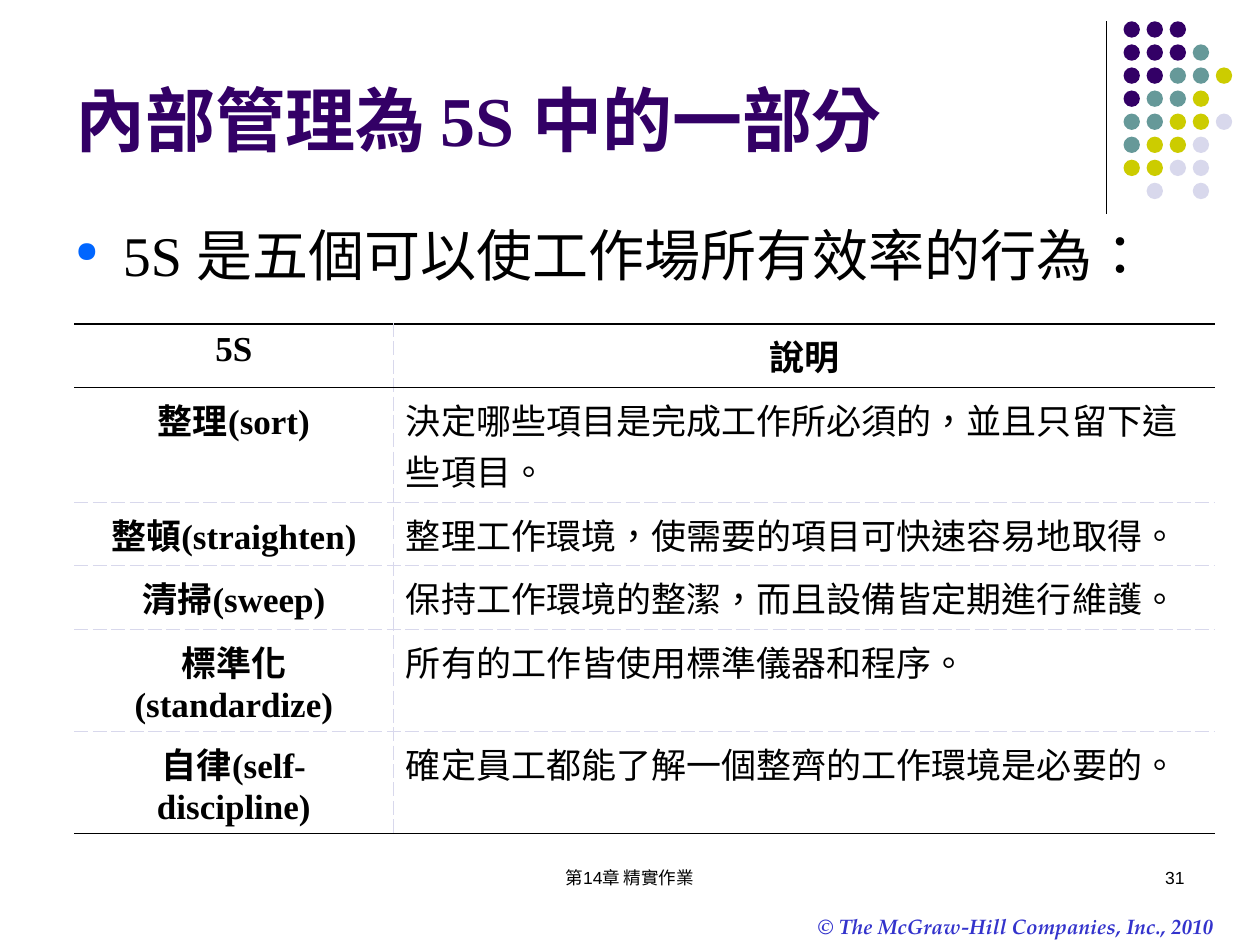
from lxml import etree
from pptx import Presentation
from pptx.dml.color import RGBColor
from pptx.enum.shapes import MSO_CONNECTOR as Connector, MSO_SHAPE as Shape
from pptx.enum.text import MSO_ANCHOR as Anchor, PP_ALIGN as Align
from pptx.oxml.ns import qn
from pptx.util import Cm, Pt

SERIF, SANS, PALATINO = "Times New Roman", "Arial", "TeX Gyre Pagella"
BLACK, PURPLE, TEAL, OLIVE, LAVENDER = "000000", "330066", "669999", "CCCC00", "D8D8EC"

DOT_COLORS = {"P": PURPLE, "T": TEAL, "O": OLIVE, "L": LAVENDER}
DOT_ROWS = ["PPP", "PPPT", "PPTTO", "PTTO", "TTOOL", "TOOL", "OOLL", " L L"]
DOT_SIZE, DOT_PITCH = 0.33, 0.465

ROWS = [
    ("5S", "說明"),
    ("整理(sort)", "決定哪些項目是完成工作所必須的，並且只留下這些項目。"),
    ("整頓(straighten)", "整理工作環境，使需要的項目可快速容易地取得。"),
    ("清掃(sweep)", "保持工作環境的整潔，而且設備皆定期進行維護。"),
    ("標準化(standardize)", "所有的工作皆使用標準儀器和程序。"),
    ("自律(self-discipline)", "確定員工都能了解一個整齊的工作環境是必要的。"),
]
ROW_HEIGHTS = [1.28, 2.31, 1.28, 1.28, 2.06, 2.06]
COLUMN_WIDTHS = [6.43, 16.56]

RULE = (BLACK, 1.08, "solid")
DASHED = (LAVENDER, 0.45, "dash")


def color(value):
    return RGBColor.from_string(value)


def format_text(paragraph, size, font_name, font_color, bold=False, italic=False,
                align=Align.LEFT):
    paragraph.alignment = align
    for run in paragraph.runs:
        font = run.font
        font.size, font.name = Pt(size), font_name
        font.bold, font.italic = bold, italic
        font.color.rgb = color(font_color)
        # Traditional Chinese centres its punctuation marks
        run._r.get_or_add_rPr().set("lang", "zh-TW")


def add_text(slide, box, text, size, font_name, font_color, anchor=Anchor.TOP,
             wrap=True, **style):
    shape = slide.shapes.add_textbox(*[Cm(value) for value in box])
    text_frame = shape.text_frame
    text_frame.word_wrap = wrap
    text_frame.vertical_anchor = anchor
    text_frame.text = text
    paragraph = text_frame.paragraphs[0]
    format_text(paragraph, size, font_name, font_color, **style)
    return paragraph


def add_bullet(paragraph, character, bullet_color, percent, indent):
    properties = paragraph._p.get_or_add_pPr()
    properties.set("marL", str(Cm(indent)))
    properties.set("indent", str(-Cm(indent)))
    bullet = etree.SubElement(properties, qn("a:buClr"))
    etree.SubElement(bullet, qn("a:srgbClr"), val=bullet_color)
    etree.SubElement(properties, qn("a:buSzPct"), val=str(percent * 1000))
    etree.SubElement(properties, qn("a:buChar"), char=character)


def add_line(slide, start, end, line_color, width):
    line = slide.shapes.add_connector(
        Connector.STRAIGHT, *[Cm(value) for value in (*start, *end)])
    line.line.color.rgb = color(line_color)
    line.line.width = Pt(width)
    etree.SubElement(line._element.spPr, qn("a:effectLst"))


def add_dots(slide, left, top):
    for row, pattern in enumerate(DOT_ROWS):
        for column, key in enumerate(pattern):
            if key == " ":
                continue
            dot = slide.shapes.add_shape(
                Shape.OVAL, Cm(left + column * DOT_PITCH), Cm(top + row * DOT_PITCH),
                Cm(DOT_SIZE), Cm(DOT_SIZE))
            dot.shadow.inherit = False
            dot.fill.solid()
            dot.fill.fore_color.rgb = color(DOT_COLORS[key])
            dot.line.fill.background()


def set_borders(cell, left, right, top, bottom):
    properties = cell._tc.get_or_add_tcPr()
    borders = {"a:lnL": left, "a:lnR": right, "a:lnT": top, "a:lnB": bottom}
    for position, (tag, border) in enumerate(borders.items()):
        line = etree.Element(qn(tag))
        properties.insert(position, line)
        if border is None:
            etree.SubElement(line, qn("a:noFill"))
            continue
        line_color, width, dash = border
        line.set("w", str(Pt(width)))
        fill = etree.SubElement(line, qn("a:solidFill"))
        etree.SubElement(fill, qn("a:srgbClr"), val=line_color)
        etree.SubElement(line, qn("a:prstDash"), val=dash)


def add_definition_table(slide, left, top):
    table = slide.shapes.add_table(
        len(ROWS), len(COLUMN_WIDTHS), Cm(left), Cm(top),
        Cm(sum(COLUMN_WIDTHS)), Cm(sum(ROW_HEIGHTS))).table
    table.first_row = table.horz_banding = False
    for column, width in zip(table.columns, COLUMN_WIDTHS):
        column.width = Cm(width)
    for row, height in zip(table.rows, ROW_HEIGHTS):
        row.height = Cm(height)

    last = len(ROWS) - 1
    for row, texts in enumerate(ROWS):
        for column, text in enumerate(texts):
            cell = table.cell(row, column)
            cell.fill.background()
            cell.text_frame.text = text
            heading = row == 0 or column == 0
            format_text(cell.text_frame.paragraphs[0], 20, SERIF, BLACK, bold=heading,
                        align=Align.CENTER if heading else Align.LEFT)
            set_borders(cell,
                        left=DASHED if column == 1 else None,
                        right=DASHED if column == 0 else None,
                        top=RULE if row <= 1 else DASHED,
                        bottom=RULE if row in (0, last) else DASHED)


def main():
    presentation = Presentation()
    presentation.slide_width, presentation.slide_height = Cm(25.4), Cm(19.05)
    slide = presentation.slides.add_slide(presentation.slide_layouts[6])

    # Corner decoration
    add_line(slide, (22.3, 0.43), (22.3, 4.32), BLACK, 0.75)
    add_dots(slide, 22.65, 0.43)

    # Footer
    add_text(slide, (16.24, 18.29, 9.35, 0.76), "© The McGraw-Hill Companies, Inc., 2010",
             12, PALATINO, "3333CC", wrap=False, bold=True, italic=True)
    add_text(slide, (8.67, 17.35, 8.05, 1.27), "第14章 精實作業", 10, SANS, BLACK,
             align=Align.CENTER)
    add_text(slide, (18.21, 17.35, 5.92, 1.27), "31", 10, SANS, BLACK, align=Align.RIGHT)

    # Title and lead sentence
    add_text(slide, (1.27, 0.36, 20, 3), "內部管理為 5S 中的一部分", 40, SERIF, PURPLE,
             anchor=Anchor.BOTTOM, bold=True)
    lead = add_text(slide, (1.27, 4.32, 23, 1.9), "5S 是五個可以使工作場所有效率的行為：",
                    32, SERIF, BLACK)
    add_bullet(lead, "●", "0066FF", 52, 0.96)

    # The five practices
    add_definition_table(slide, 1.5, 6.53)

    presentation.save("out.pptx")


if __name__ == "__main__":
    main()
